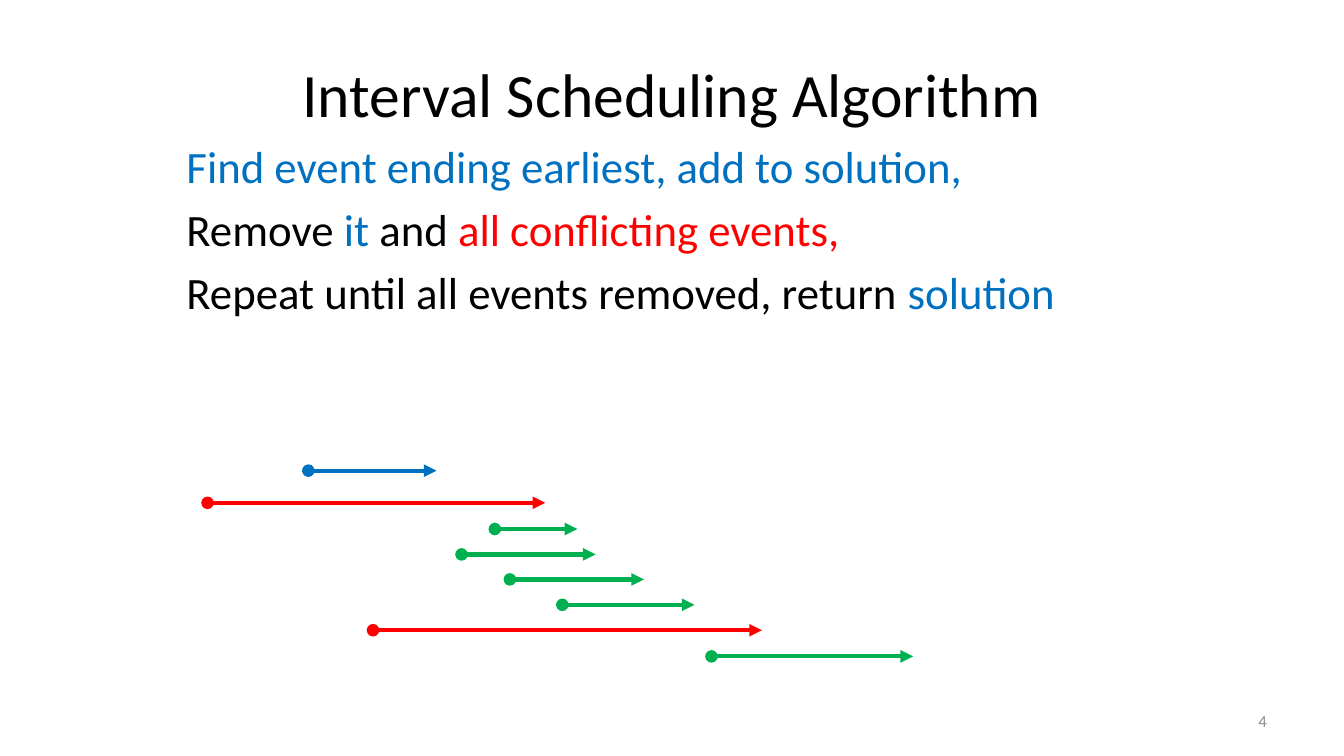
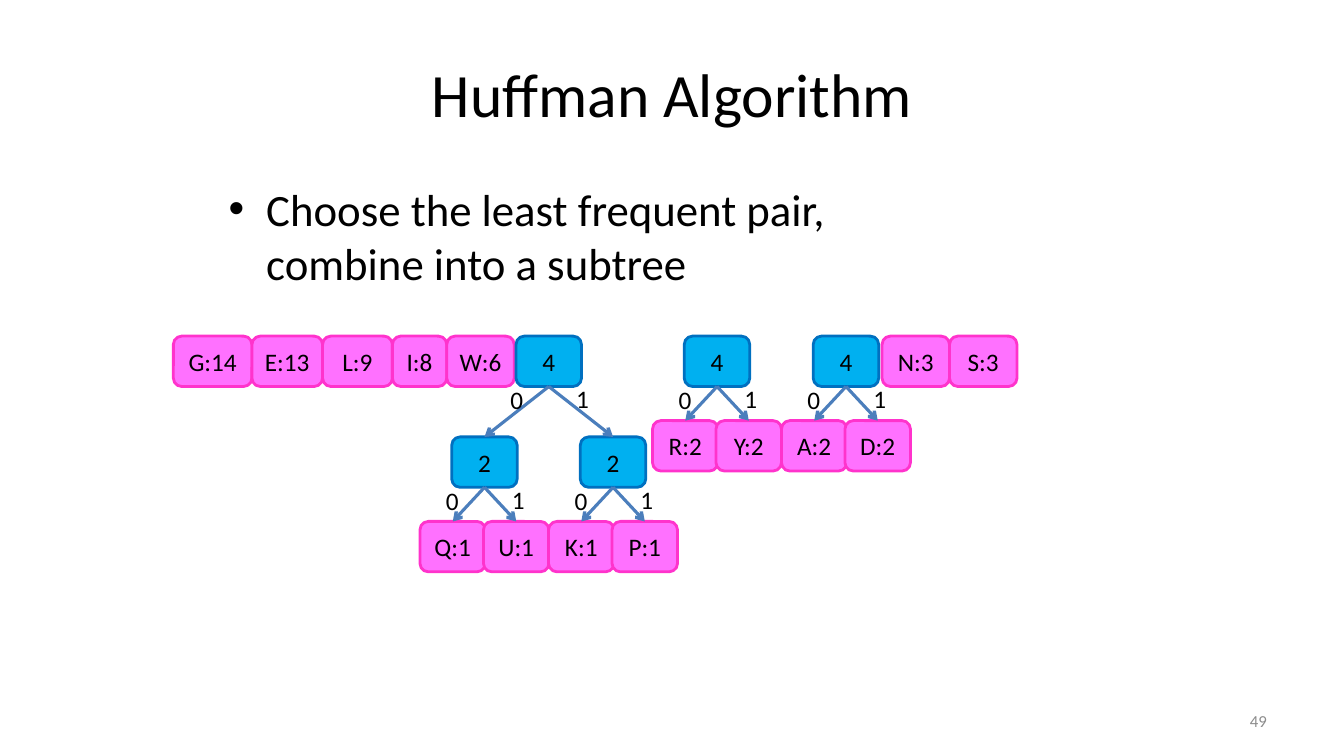
"""Build two slides on the interval scheduling and Huffman algorithms."""
from lxml import etree
from pptx import Presentation
from pptx.dml.color import RGBColor
from pptx.enum.shapes import MSO_CONNECTOR, MSO_SHAPE
from pptx.enum.text import MSO_ANCHOR, MSO_AUTO_SIZE, PP_ALIGN
from pptx.oxml.ns import qn
from pptx.util import Cm, Pt

STRAIGHT = MSO_CONNECTOR.STRAIGHT
ROUNDED = MSO_SHAPE.ROUNDED_RECTANGLE
TOP, MIDDLE = MSO_ANCHOR.TOP, MSO_ANCHOR.MIDDLE
LEFT, CENTER, RIGHT = PP_ALIGN.LEFT, PP_ALIGN.CENTER, PP_ALIGN.RIGHT
NO_FIT = MSO_AUTO_SIZE.NONE
TITLE_ONLY = 5

COLORS = {
    "black": "000000", "blue": "0070C0", "red": "FF0000", "green": "00B050",
    "gray": "8C8C8C", "pink": "FF71FF", "magenta": "FF33CC",
    "sky": "00B0F0", "steel": "4B7EBC",
}
FONT = "Calibri"
FORMATS = {
    "title": {
        "frame": {"vertical_anchor": MIDDLE, "word_wrap": True, "auto_size": NO_FIT},
        "para": {"alignment": CENTER},
        "font": {"name": FONT, "size": Pt(44)},
    },
    "body": {
        "frame": {"vertical_anchor": TOP, "word_wrap": True},
        "para": {"alignment": LEFT, "space_before": Pt(6.4)},
        "font": {"name": FONT, "size": Pt(32)},
    },
    "number": {
        "frame": {"vertical_anchor": MIDDLE, "word_wrap": True},
        "para": {"alignment": RIGHT},
        "font": {"name": FONT, "size": Pt(12)},
    },
    "node": {
        "frame": {"vertical_anchor": MIDDLE, "word_wrap": True,
                  "margin_left": Cm(0), "margin_right": Cm(0)},
        "para": {"alignment": CENTER},
        "font": {"name": FONT, "size": Pt(18)},
    },
    "label": {
        "frame": {"vertical_anchor": TOP, "word_wrap": False},
        "para": {"alignment": LEFT},
        "font": {"name": FONT, "size": Pt(18)},
    },
}


def write_text(box, paragraphs, style):
    """Fill a shape with paragraphs made of (text, colour) spans."""
    formats = FORMATS[style]
    frame = box.text_frame
    for name, value in formats["frame"].items():
        setattr(frame, name, value)
    for index, spans in enumerate(paragraphs):
        para = frame.add_paragraph() if index else frame.paragraphs[0]
        for name, value in formats["para"].items():
            setattr(para, name, value)
        for text, color in spans:
            span = para.add_run()
            span.text = text
            for name, value in formats["font"].items():
                setattr(span.font, name, value)
            span.font.color.rgb = RGBColor.from_string(COLORS[color])


def add_arrow(page, start, end, color, width, ends):
    """Draw a straight arrow between two points given in centimetres."""
    x1, y1, x2, y2 = (Cm(value) for value in (*start, *end))
    arrow = page.shapes.add_connector(STRAIGHT, x1, y1, x2, y2)
    arrow.line.color.rgb = RGBColor.from_string(COLORS[color])
    arrow.line.width = Pt(width)
    outline = arrow.line._get_or_add_ln()
    for tag, kind in ends.items():
        etree.SubElement(outline, qn(tag), type=kind)
    etree.SubElement(arrow._element.spPr, qn("a:effectLst"))


deck = Presentation()
deck.slide_width, deck.slide_height = Cm(33.87), Cm(19.05)

SLIDES = [
    ("Interval Scheduling Algorithm", "4", (4.45, 3.38, 25.12, 4.88), [
        [("Find event ending earliest, add to solution,", "blue")],
        [("Remove ", "black"), ("it", "blue"), (" and", "black"),
         (" all conflicting events,", "red")],
        [("Repeat until all events removed, return ", "black"), ("solution", "blue")],
    ]),
    ("Huffman Algorithm", "49", (5.51, 4.45, 18.8, 3.18), [
        [("Choose the least frequent pair, combine into a subtree", "black")],
    ]),
]
pages, bodies = [], []
for title, number, body_place, paragraphs in SLIDES:
    page = deck.slides.add_slide(deck.slide_layouts[TITLE_ONLY])
    heading = page.shapes.title
    heading.left, heading.top = Cm(1.7), Cm(0.76)
    heading.width, heading.height = Cm(30.48), Cm(3.18)
    write_text(heading, [[(title, "black")]], "title")
    body = page.shapes.add_textbox(*map(Cm, body_place))
    write_text(body, paragraphs, "body")
    footer = page.shapes.add_textbox(Cm(24.28), Cm(17.65), Cm(7.9), Cm(1.02))
    write_text(footer, [[(number, "gray")]], "number")
    pages.append(page)
    bodies.append(body)
schedule_page, huffman_page = pages

EVENTS = [
    (7.77, 11.0, 11.86, "blue"),
    (5.23, 13.74, 12.67, "red"),
    (12.47, 14.55, 13.33, "green"),
    (11.63, 15.01, 13.97, "green"),
    (12.85, 16.23, 14.6, "green"),
    (14.17, 17.5, 15.24, "green"),
    (9.4, 19.2, 15.88, "red"),
    (17.93, 23.01, 16.54, "green"),
]
for start, finish, level, color in EVENTS:
    add_arrow(schedule_page, (start, level), (finish, level), color, 3,
              {"a:headEnd": "oval", "a:tailEnd": "triangle"})

bullet_format = bodies[1].text_frame.paragraphs[0]._p.get_or_add_pPr()
bullet_format.set("marL", str(Cm(0.95)))
bullet_format.set("indent", str(-Cm(0.95)))
etree.SubElement(bullet_format, qn("a:buFont"), typeface="Arial")
etree.SubElement(bullet_format, qn("a:buChar"), char="•")

ROW_TOP, NODE_HEIGHT, NODE_WIDTH = 8.47, 1.27, 1.65
LEAF_SPREAD, LEAF_DROP = 0.8, 2.13
PAIR_SPREAD, PAIR_DROP = 1.62, 2.54
PAIR_CENTER, PAIR_TOP = 13.83, ROW_TOP + PAIR_DROP
ROWS = [
    (4.37, [("G:14", 1.98), ("E:13", 1.78), ("L:9", 1.76), ("I:8", 1.37), ("W:6", 1.7)]),
    (22.23, [("N:3", 1.7), ("S:3", 1.7)]),
]
TREES = [
    ("2", PAIR_CENTER - PAIR_SPREAD, PAIR_TOP, LEAF_SPREAD, LEAF_DROP, ["Q:1", "U:1"]),
    ("2", PAIR_CENTER + PAIR_SPREAD, PAIR_TOP, LEAF_SPREAD, LEAF_DROP, ["K:1", "P:1"]),
    ("4", PAIR_CENTER, ROW_TOP, PAIR_SPREAD, PAIR_DROP, []),
    ("4", 18.07, ROW_TOP, LEAF_SPREAD, LEAF_DROP, ["R:2", "Y:2"]),
    ("4", 21.32, ROW_TOP, LEAF_SPREAD, LEAF_DROP, ["A:2", "D:2"]),
]

nodes = []
for left, letters in ROWS:
    for text, width in letters:
        nodes.append((text, left, ROW_TOP, width, "pink", "magenta"))
        left += width
for count, center, top, spread, drop, leaves in TREES:
    for text, side in zip(leaves, (-1, 1)):
        leaf_left = center + side * spread - NODE_WIDTH / 2
        nodes.append((text, leaf_left, top + drop, NODE_WIDTH, "pink", "magenta"))
    nodes.append((count, center - NODE_WIDTH / 2, top, NODE_WIDTH, "sky", "blue"))

for text, left, top, width, fill, line in nodes:
    node = huffman_page.shapes.add_shape(
        ROUNDED, Cm(left), Cm(top), Cm(width), Cm(NODE_HEIGHT))
    node.shadow.inherit = False
    node.fill.solid()
    node.fill.fore_color.rgb = RGBColor.from_string(COLORS[fill])
    node.line.color.rgb = RGBColor.from_string(COLORS[line])
    node.line.width = Pt(2)
    write_text(node, [[(text, "black")]], "node")

for count, center, top, spread, drop, leaves in TREES:
    for side in (-1, 1):
        add_arrow(huffman_page, (center, top + NODE_HEIGHT),
                  (center + side * spread, top + drop), "steel", 2.25,
                  {"a:tailEnd": "arrow"})
    for bit, shift, fall in (("0", -1.22, 1.1), ("1", 0.44, 1.07)):
        label = huffman_page.shapes.add_textbox(
            Cm(center + shift), Cm(top + fall), Cm(0.84), Cm(1.02))
        write_text(label, [[(bit, "black")]], "label")

deck.save("out.pptx")
